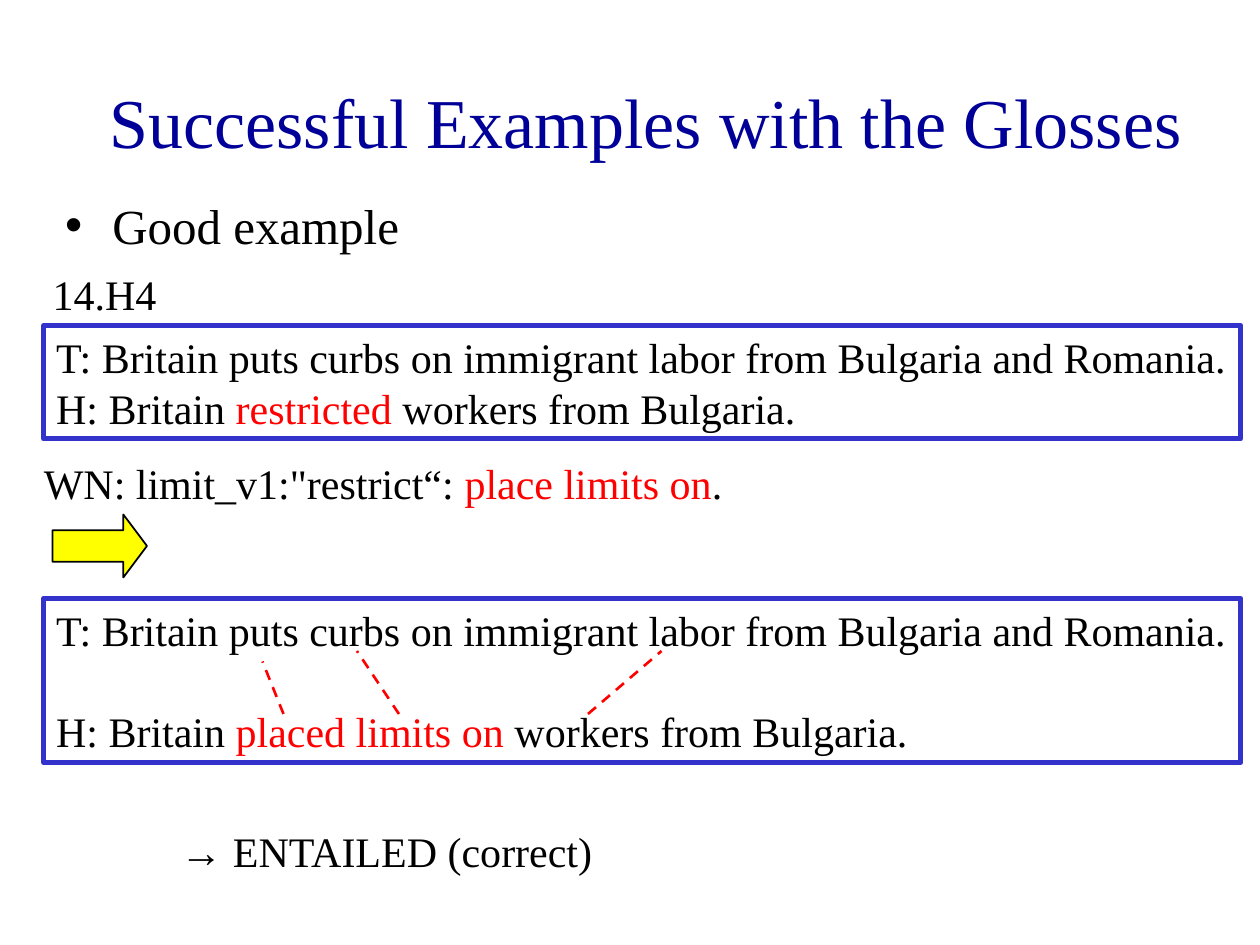
import pptx
import pptx.util
import pptx.dml.color
import pptx.enum.dml
import pptx.enum.shapes
import pptx.enum.text
from lxml import etree

Pt = pptx.util.Pt
Kind = pptx.enum.shapes.MSO_SHAPE
Side = pptx.enum.text.PP_ALIGN
Hold = pptx.enum.text.MSO_ANCHOR
Fit = pptx.enum.text.MSO_AUTO_SIZE

FONT = "Times New Roman"
SIZE = 24
LEAD = 1.2
HUES = {"title": "000099", "text": "000000", "mark": "FF0000",
        "frame": "3333CC", "arrow": "FFFF00"}

TITLE = [("Successful Examples with the Glosses", "title")]
LIST = [("Good example", "text")]
FACT = [("T: Britain puts curbs on immigrant labor from Bulgaria and Romania.", "text")]
FIRST = [("H: Britain ", "text"), ("restricted ", "mark"), ("workers from Bulgaria.", "text")]
SECOND = [("H: Britain ", "text"), ("placed limits on", "mark"),
          (" workers from Bulgaria.", "text")]
GLOSS = [("WN: limit_v1:\"restrict“: ", "text"), ("place limits on", "mark"), (".", "text")]

NOTES = [
    ((23, 150, 73.5, 36), [[("14.H4", "text")]]),
    ((18, 258, 402, 36), [GLOSS]),
    ((96, 468, 251, 36), [[("→ ENTAILED (correct)", "text")]]),
]
FRAMES = [
    ((25, 186, 684, 64.8), [FACT, FIRST], 0),
    ((25, 342, 684, 93.6), [FACT, SECOND], SIZE * LEAD),
]
LINKS = [((162, 408), (150, 378)), ((228, 408), (204, 372)), ((336, 408), (378, 372))]


def tint(name):
    return pptx.dml.color.RGBColor.from_string(HUES[name])


def place(item, box):
    item.left, item.top, item.width, item.height = map(Pt, box)


def write(frame, rows, size=SIZE, gap=0, align=Side.LEFT):
    for num, row in enumerate(rows):
        para = frame.add_paragraph() if num else frame.paragraphs[0]
        para.alignment = align
        para.line_spacing = Pt(size * LEAD)
        para.space_before = Pt(gap if num else 0)
        for text, hue in row:
            run = para.add_run()
            run.text = text
            run.font.name = FONT
            run.font.size = Pt(size)
            run.font.color.rgb = tint(hue)


def fill_box(item, rows, gap=0):
    frame = item.text_frame
    frame.word_wrap = False
    frame.auto_size = Fit.SHAPE_TO_FIT_TEXT
    frame.vertical_anchor = Hold.TOP
    write(frame, rows, gap=gap)


def edge(item, hue, width):
    item.line.color.rgb = tint(hue)
    item.line.width = Pt(width)


def main():
    deck = pptx.Presentation()
    deck.slide_width, deck.slide_height = Pt(720), Pt(540)
    slide = deck.slides.add_slide(deck.slide_layouts[1])
    shapes = slide.shapes

    title, body = slide.placeholders
    place(title, (42, 24, 654, 90))
    title.text_frame.vertical_anchor = Hold.MIDDLE
    write(title.text_frame, [TITLE], size=40, align=Side.CENTER)
    place(body, (30, 108, 612, 324))
    write(body.text_frame, [LIST], size=28)

    for box, rows in NOTES:
        fill_box(shapes.add_textbox(*map(Pt, box)), rows)

    for box, rows, gap in FRAMES:
        item = shapes.add_shape(Kind.RECTANGLE, *map(Pt, box))
        item.shadow.inherit = False
        item.fill.background()
        edge(item, "frame", 3)
        fill_box(item, rows, gap)

    for start, end in LINKS:
        link = shapes.add_connector(pptx.enum.shapes.MSO_CONNECTOR.STRAIGHT,
                                    *map(Pt, start + end))
        edge(link, "mark", 1.5)
        link.line.dash_style = pptx.enum.dml.MSO_LINE.DASH
        etree.SubElement(link._element.spPr, pptx.oxml.ns.qn("a:effectLst"))

    arrow = shapes.add_shape(Kind.RIGHT_ARROW, *map(Pt, (30, 294, 54, 36)))
    arrow.adjustments[0], arrow.adjustments[1] = 0.5, 0.375
    arrow.shadow.inherit = False
    arrow.fill.solid()
    arrow.fill.fore_color.rgb = tint("arrow")
    edge(arrow, "text", 1)

    deck.save("out.pptx")


if __name__ == "__main__":
    main()
